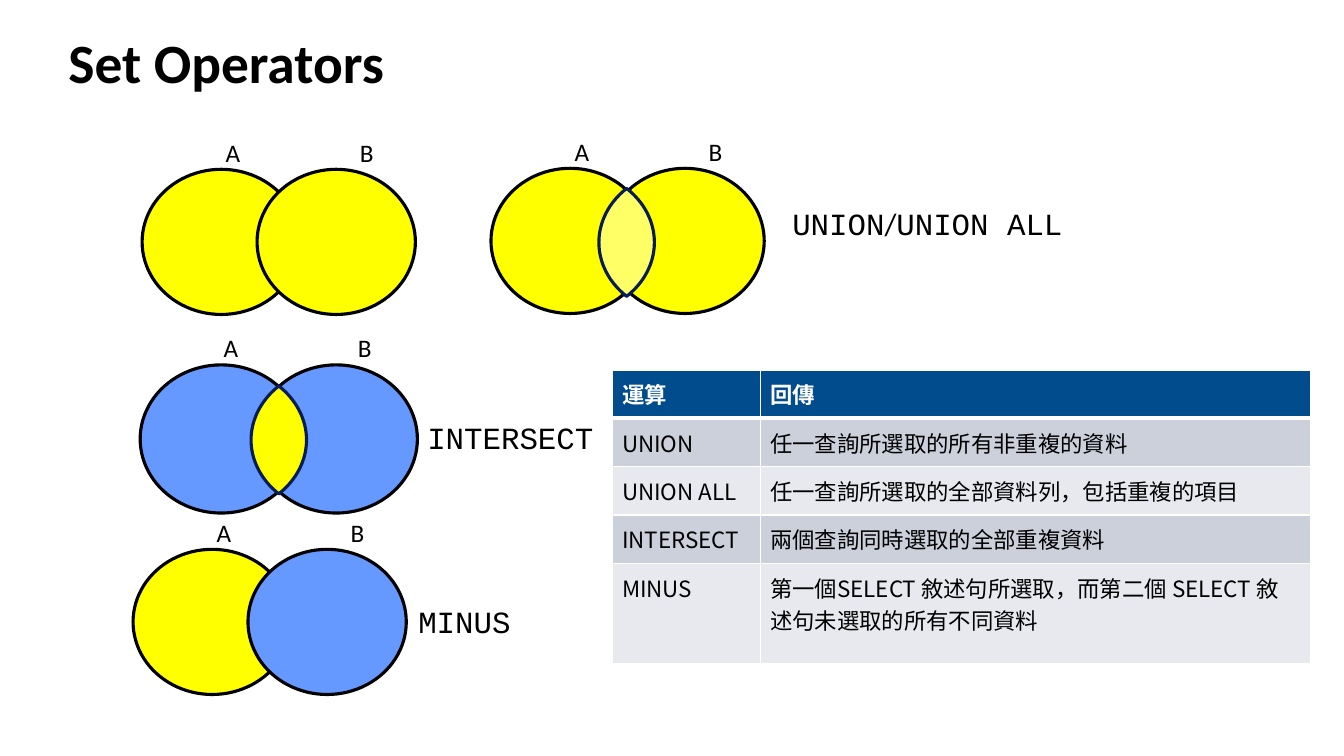
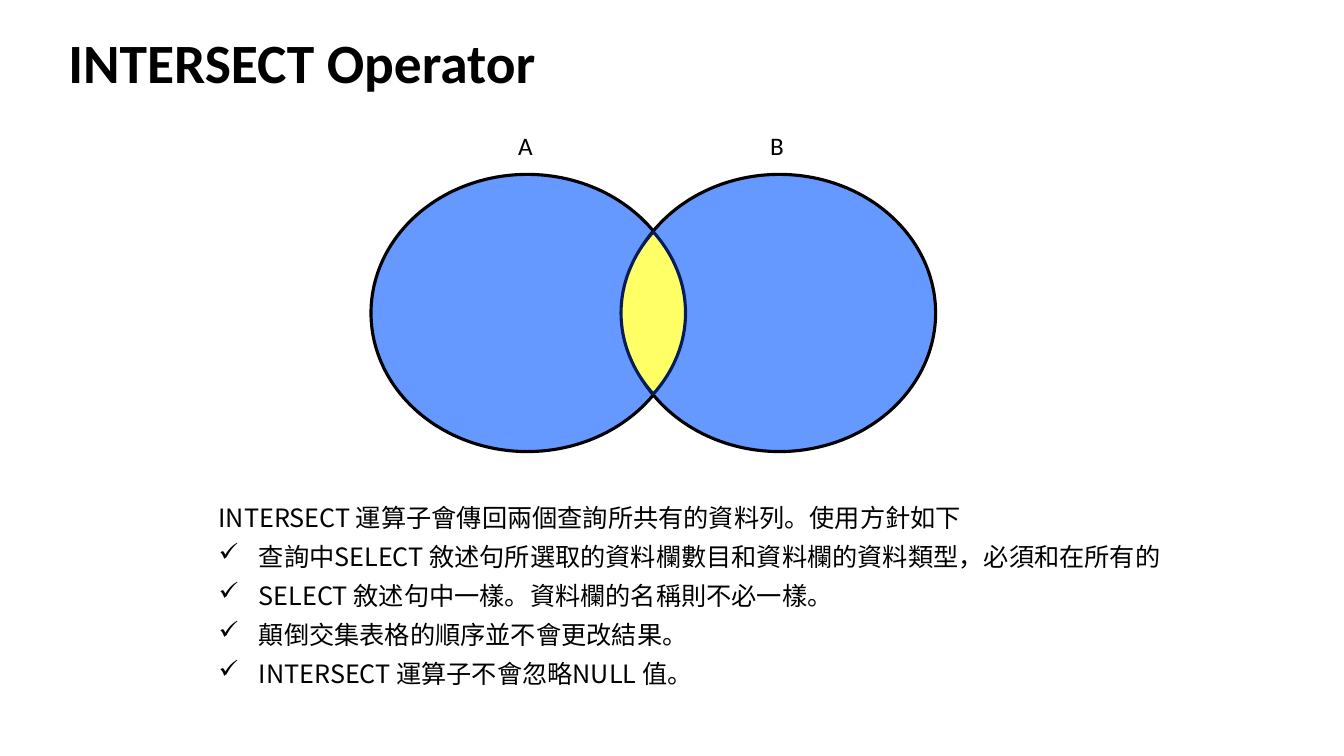
from math import asin, cos, sin

from lxml.etree import SubElement
from pptx import Presentation
from pptx.dml.color import RGBColor
from pptx.enum.shapes import MSO_SHAPE
from pptx.enum.text import MSO_ANCHOR
from pptx.oxml.ns import qn
from pptx.util import Inches, Pt

BLACK = RGBColor(0x00, 0x00, 0x00)
WHITE = RGBColor(0xFF, 0xFF, 0xFF)
YELLOW = RGBColor(0xFF, 0xFF, 0x00)
PALE_YELLOW = RGBColor(0xFF, 0xFF, 0x66)
BLUE = RGBColor(0x66, 0x99, 0xFF)
NAVY = RGBColor(0x08, 0x1D, 0x58)
HEADER_BLUE = RGBColor(0x00, 0x4C, 0x8D)
BANDS = (RGBColor(0xCC, 0xD0, 0xDB), RGBColor(0xE7, 0xE9, 0xEE))

LATIN = "Calibri"
CODE = "Courier New"
CJK = "Noto Sans CJK SC"

OPERATIONS = [
    ("運算", "回傳"),
    ("UNION", "任一查詢所選取的所有非重複的資料"),
    ("UNION ALL", "任一查詢所選取的全部資料列，包括重複的項目"),
    ("INTERSECT", "兩個查詢同時選取的全部重複資料"),
    ("MINUS", "第一個SELECT 敘述句所選取，而第二個 SELECT 敘述句未選取的所有不同資料"),
]
INTRO = "INTERSECT 運算子會傳回兩個查詢所共有的資料列。使用方針如下"
GUIDELINES = [
    "查詢中SELECT 敘述句所選取的資料欄數目和資料欄的資料類型，必須和在所有的",
    "SELECT 敘述句中一樣。資料欄的名稱則不必一樣。",
    "顛倒交集表格的順序並不會更改結果。",
    "INTERSECT 運算子不會忽略NULL 值。",
]


def style(paragraph, size, name=LATIN, color=BLACK, bold=False):
    font = paragraph.font
    font.size, font.name, font.bold = Pt(size), name, bold
    font.color.rgb = color
    if name == CJK:
        defaults = paragraph._p.pPr.find(qn("a:defRPr"))
        SubElement(defaults, qn("a:ea")).set("typeface", name)


def add_text(slide, left, top, width, height, text, size, name=LATIN, bold=False):
    box = slide.shapes.add_textbox(Inches(left), Inches(top), Inches(width), Inches(height))
    frame = box.text_frame
    frame.word_wrap = True
    paragraph = frame.paragraphs[0]
    paragraph.text = text
    style(paragraph, size, name, bold=bold)
    return frame


def add_title_slide(deck, title):
    slide = deck.slides.add_slide(deck.slide_layouts[6])
    frame = add_text(slide, 0.58, 0.3, 12.18, 0.61, title, 39.6, bold=True)
    frame.vertical_anchor = MSO_ANCHOR.MIDDLE
    return slide


def paint(shape, fill, outline):
    shape.shadow.inherit = False
    shape.fill.solid()
    shape.fill.fore_color.rgb = fill
    shape.line.color.rgb = outline
    shape.line.width = Pt(2.25)


def add_venn(slide, left, top, size, shift, fills, label_at, label_shift):
    width, height = size
    label_left, label_rise = label_at
    for index, (name, fill) in enumerate(zip("AB", fills)):
        circle = slide.shapes.add_shape(
            MSO_SHAPE.OVAL, Inches(left + index * shift), Inches(top),
            Inches(width), Inches(height))
        paint(circle, fill, BLACK)
        add_text(slide, left + label_left + index * label_shift, top - label_rise,
                 0.29, 0.41, name, 18)


def add_lens(slide, left, top, width, height, circle_height, fill, steps=32):
    limit = asin(height / circle_height)
    center_x, center_y = left + width / 2, top + height / 2

    def arc_point(side, step):
        angle = limit * (2 * step / steps - 1)
        reach = (cos(angle) - cos(limit)) / (1 - cos(limit))
        return (Inches(center_x + side * reach * width / 2),
                Inches(center_y + sin(angle) / sin(limit) * height / 2))

    right = [arc_point(1, step) for step in range(steps + 1)]
    back = [arc_point(-1, step) for step in range(steps - 1, 0, -1)]
    builder = slide.shapes.build_freeform(*right[0])
    builder.add_line_segments(right[1:] + back, close=True)
    paint(builder.convert_to_shape(), fill, NAVY)


def add_border(cell, side, width):
    line = SubElement(cell._tc.get_or_add_tcPr(), qn(f"a:{side}"), w=str(Pt(width)))
    fill = SubElement(line, qn("a:solidFill"))
    SubElement(fill, qn("a:srgbClr"), val=str(WHITE))


def fill_cell(cell, text, row):
    header = row == 0
    cell.margin_top = cell.margin_bottom = Inches(0.08)
    for side in ("lnL", "lnR", "lnT", "lnB"):
        heavy = (header and side == "lnB") or (row == 1 and side == "lnT")
        add_border(cell, side, 3 if heavy else 1)
    cell.fill.solid()
    cell.fill.fore_color.rgb = HEADER_BLUE if header else BANDS[(row - 1) % 2]
    paragraph = cell.text_frame.paragraphs[0]
    paragraph.text = text
    paragraph.line_spacing = Pt(23)
    style(paragraph, 16, CJK, WHITE if header else BLACK, header)


def add_operations_table(slide):
    table = slide.shapes.add_table(
        len(OPERATIONS), 2, Inches(6.07), Inches(3.67), Inches(6.93), Inches(2.72)).table
    for column, width in zip(table.columns, (1.47, 5.46)):
        column.width = Inches(width)
    for row, texts in enumerate(OPERATIONS):
        table.rows[row].height = Inches(1 if row == len(OPERATIONS) - 1 else 0.43)
        for column, text in enumerate(texts):
            fill_cell(table.cell(row, column), text, row)


def add_check(paragraph):
    properties = paragraph._p.get_or_add_pPr()
    properties.set("marL", str(Inches(0.4)))
    properties.set("indent", str(-Inches(0.4)))
    bullet = SubElement(properties, qn("a:buChar"), char="✓")
    properties.find(qn("a:defRPr")).addprevious(bullet)


def add_guidelines(slide):
    frame = add_text(slide, 2.07, 4.84, 10.5, 2.02, INTRO, 18, CJK)
    for guideline in GUIDELINES:
        paragraph = frame.add_paragraph()
        paragraph.text = guideline
        style(paragraph, 18, CJK)
        add_check(paragraph)
    for paragraph in frame.paragraphs:
        paragraph.line_spacing = Pt(28)


def build_set_operators(deck):
    slide = add_title_slide(deck, "Set Operators")
    circle, large_circle = (1.57, 1.44), (1.61, 1.47)
    for left, top, size, fills in (
        (1.41, 1.68, circle, (YELLOW, YELLOW)),
        (4.87, 1.67, circle, (YELLOW, YELLOW)),
        (1.39, 3.62, large_circle, (BLUE, BLUE)),
        (1.32, 5.45, circle, (YELLOW, BLUE)),
    ):
        add_venn(slide, left, top, size, 1.14, fills, (0.73, 0.37), 1.33)
    add_lens(slide, 5.94, 1.87, 0.55, 1.07, circle[1], PALE_YELLOW)
    add_lens(slide, 2.49, 3.83, 0.55, 1.07, large_circle[1], YELLOW)

    union = add_text(slide, 7.76, 1.98, 4.93, 0.47, "UNION", 22, CODE).paragraphs[0]
    slash = union.add_run()
    slash.text = "/"
    slash.font.name = LATIN
    union.add_run().text = "UNION ALL"
    add_text(slide, 4.14, 4.11, 1.86, 0.47, "INTERSECT", 22, CODE)
    add_text(slide, 4.05, 5.93, 1.29, 0.47, "MINUS", 22, CODE)
    add_operations_table(slide)


def build_intersect(deck):
    slide = add_title_slide(deck, "INTERSECT Operator")
    add_guidelines(slide)
    add_venn(slide, 3.68, 1.73, (3.1, 2.75), 2.5, (BLUE, BLUE), (1.36, 0.49), 2.5)
    add_lens(slide, 6.16, 2.3, 0.64, 1.61, 2.75, PALE_YELLOW)


def main():
    deck = Presentation()
    deck.slide_width, deck.slide_height = Inches(13.33), Inches(7.5)
    build_set_operators(deck)
    build_intersect(deck)
    deck.save("out.pptx")


if __name__ == "__main__":
    main()
